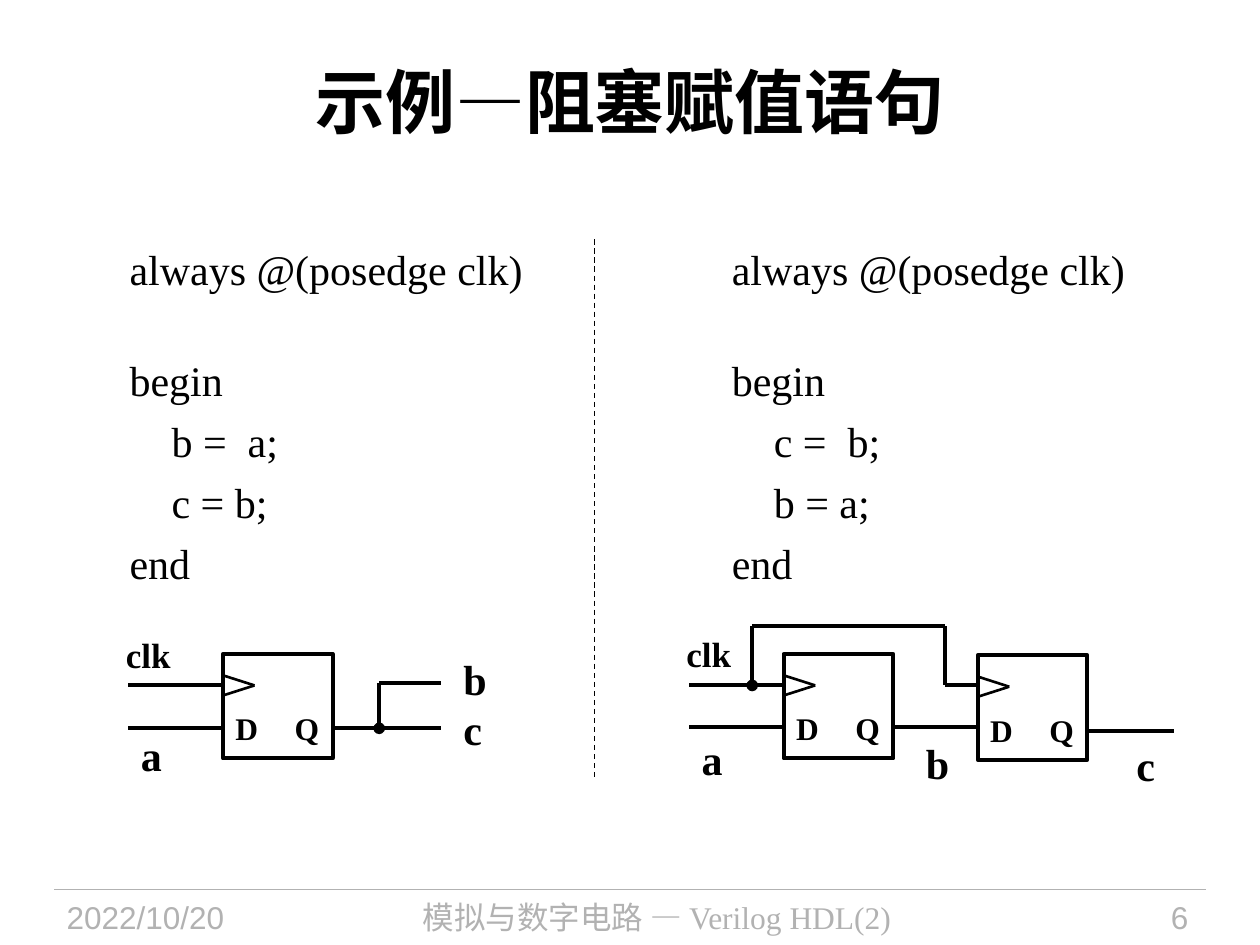
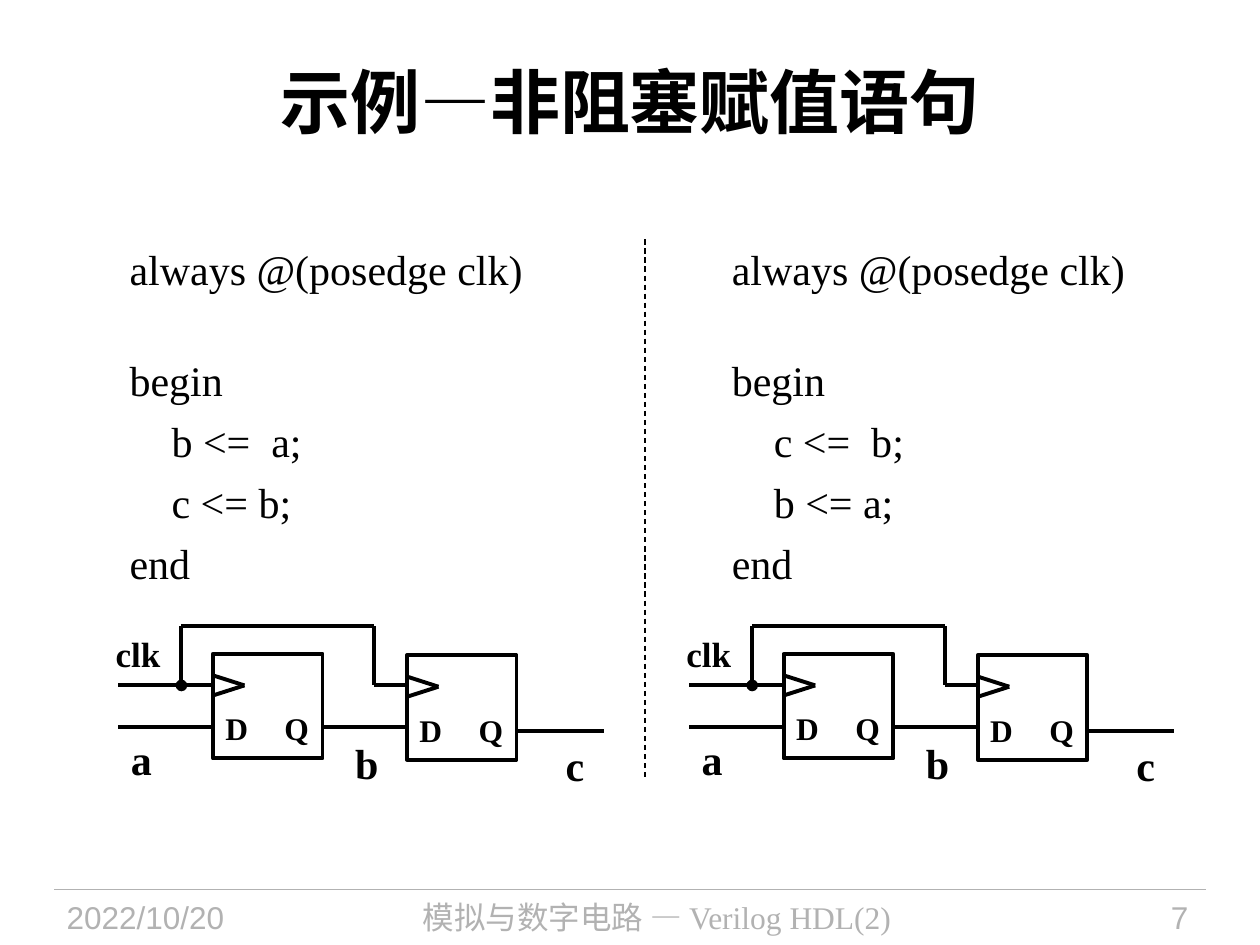
from dataclasses import dataclass

from pptx import Presentation
from pptx.dml.color import RGBColor
from pptx.enum.dml import MSO_LINE_DASH_STYLE as Dash
from pptx.enum.shapes import MSO_CONNECTOR as Connector, MSO_SHAPE as Preset
from pptx.enum.text import MSO_ANCHOR as Anchor, MSO_AUTO_SIZE as AutoSize, PP_ALIGN as Align
from pptx.oxml.xmlchemy import OxmlElement
from pptx.util import Emu, Inches, Pt

SLIDE_WIDTH, SLIDE_HEIGHT = Inches(10), Inches(7.5)
COLUMN, ROW = SLIDE_WIDTH / 10, SLIDE_HEIGHT / 7.5
BLACK, GREY = "000000", "B2B2B2"
SERIF, SANS = "Times New Roman", "Arial"
LEADING = 1.2
CODE_SIZE, CODE_GAP = 24, 6
FOOTER_TOP, MARGIN = 7.06, 0.43
GATE_WIDTH, GATE_HEIGHT = 0.87, 0.83
CIRCUIT_TOP = 4.97


@dataclass(frozen=True)
class Style:
    size: float
    color: str = BLACK
    font: str = SERIF
    bold: bool = False


@dataclass(frozen=True)
class Wire:
    start: tuple[float, float]
    end: tuple[float, float]
    joined: bool = False


@dataclass(frozen=True)
class Label:
    text: str
    left: float
    top: float
    size: float = 24


@dataclass(frozen=True)
class Gate:
    left: float
    top: float


@dataclass(frozen=True)
class Circuit:
    gates: tuple[Gate, ...]
    wires: tuple[Wire, ...]
    labels: tuple[Label, ...]


@dataclass(frozen=True)
class Example:
    code_left: float
    statements: tuple[str, str]
    circuit_left: float
    circuit: Circuit


@dataclass(frozen=True)
class Page:
    title: str
    number: str
    divider: float
    notch_weight: float
    examples: tuple[Example, ...]


CODE = Style(CODE_SIZE)
TITLE = Style(40, bold=True)
DATE = Style(18, GREY, SANS)
COURSE = Style(18, GREY)

ONE_STAGE = Circuit(
    gates=(Gate(0.75, 0.22),),
    wires=(
        Wire((0, 0.47), (0.75, 0.47)),
        Wire((0, 0.81), (0.75, 0.81)),
        Wire((1.62, 0.81), (2.48, 0.81)),
        Wire((1.99, 0.45), (2.48, 0.45)),
        Wire((1.99, 0.45), (1.99, 0.81), joined=True),
    ),
    labels=(
        Label("clk", -0.12, -0.01, 20),
        Label("a", 0, 0.75),
        Label("b", 2.56, 0.15),
        Label("c", 2.56, 0.54),
    ),
)
TWO_STAGE = Circuit(
    gates=(Gate(0.75, 0.22), Gate(2.29, 0.23)),
    wires=(
        Wire((0, 0.47), (0.75, 0.47)),
        Wire((0, 0.8), (0.75, 0.8)),
        Wire((1.62, 0.8), (2.29, 0.8)),
        Wire((3.17, 0.83), (3.85, 0.83)),
        Wire((0.5, 0), (2.03, 0)),
        Wire((2.03, 0), (2.03, 0.47)),
        Wire((2.03, 0.47), (2.29, 0.47)),
        Wire((0.5, 0), (0.5, 0.47), joined=True),
    ),
    labels=(
        Label("clk", -0.12, -0.02, 20),
        Label("a", 0, 0.78),
        Label("b", 1.78, 0.81),
        Label("c", 3.45, 0.83),
    ),
)

PAGES = (
    Page("示例—阻塞赋值语句", "6", 4.72, 1.5, (
        Example(0.93, ("b =  a;", "c = b;"), 1.02, ONE_STAGE),
        Example(5.71, ("c =  b;", "b = a;"), 5.47, TWO_STAGE),
    )),
    Page("示例—非阻塞赋值语句", "7", 5.12, 2.25, (
        Example(0.93, ("b <=  a;", "c <= b;"), 0.94, TWO_STAGE),
        Example(5.71, ("c <=  b;", "b <= a;"), 5.47, TWO_STAGE),
    )),
)


def across(columns: float) -> Emu:
    return Emu(round(columns * COLUMN))


def down(rows: float) -> Emu:
    return Emu(round(rows * ROW))


def paint(color_format, color: str) -> None:
    color_format.rgb = RGBColor.from_string(color)


def add_run(paragraph, text: str, style: Style) -> None:
    run = paragraph.add_run()
    run.text = text
    run.font.name, run.font.size, run.font.bold = style.font, Pt(style.size), style.bold
    paint(run.font.color, style.color)


def add_text(shapes, left: float, top: float, width: float, height: float,
             lines: tuple[str, ...], style: Style, align=Align.LEFT):
    """Add a text box with one paragraph per line and return its paragraphs."""
    box = shapes.add_textbox(across(left), down(top), across(width), down(height))
    frame = box.text_frame
    frame.word_wrap, frame.auto_size = True, AutoSize.NONE
    frame.margin_top = down(0.07)
    for index, line in enumerate(lines):
        paragraph = frame.add_paragraph() if index else frame.paragraphs[0]
        paragraph.alignment = align
        paragraph.line_spacing = Pt(style.size * LEADING)
        add_run(paragraph, line, style)
    return frame.paragraphs


def add_line(shapes, start: tuple[float, float], end: tuple[float, float],
             weight: float = 2.25, color: str = BLACK):
    line = shapes.add_connector(Connector.STRAIGHT, across(start[0]), down(start[1]),
                                across(end[0]), down(end[1]))
    line.line.width = Pt(weight)
    paint(line.line.color, color)
    line._element.spPr.append(OxmlElement("a:effectLst"))
    return line


def add_dot(line) -> None:
    dot = OxmlElement("a:tailEnd")
    dot.set("type", "oval")
    line.line._get_or_add_ln().append(dot)


def add_label(shapes, label: Label, left: float, top: float) -> None:
    width = 0.33 + 0.17 * (len(label.text) - 1)
    add_text(shapes, left + label.left, top + label.top, width, label.size * LEADING / 72 + 0.1,
             (label.text,), Style(label.size, bold=True))


def add_gate(shapes, left: float, top: float, notch_weight: float) -> None:
    box = shapes.add_shape(Preset.RECTANGLE, across(left), down(top),
                           across(GATE_WIDTH), down(GATE_HEIGHT))
    box.shadow.inherit = False
    box.fill.background()
    box.line.width = Pt(2.25)
    paint(box.line.color, BLACK)
    tip = (left + 0.25, top + 0.25)
    for offset in (0.17, 0.33):
        add_line(shapes, (left, top + offset), tip, notch_weight)
    for label in (Label("D", 0, 0.37, 18), Label("Q", 0.47, 0.37, 18)):
        add_label(shapes, label, left, top)


def add_circuit(slide, circuit: Circuit, left: float, notch_weight: float) -> None:
    shapes = slide.shapes.add_group_shape().shapes
    for gate in circuit.gates:
        add_gate(shapes, left + gate.left, CIRCUIT_TOP + gate.top, notch_weight)
    for wire in circuit.wires:
        start, end = ((left + x, CIRCUIT_TOP + y) for x, y in (wire.start, wire.end))
        line = add_line(shapes, start, end)
        if wire.joined:
            add_dot(line)
    for label in circuit.labels:
        add_label(shapes, label, left, CIRCUIT_TOP)


def add_code(slide, left: float, statements: tuple[str, str]) -> None:
    lines = ("always @(posedge clk)", "begin", *statements, "end")
    paragraphs = add_text(slide.shapes, left, 1.86, 3.4, 2.46, lines, CODE)
    for paragraph in paragraphs:
        paragraph.space_after = Pt(CODE_GAP)
    paragraphs[0].space_after = Pt(CODE_GAP + CODE_SIZE * LEADING)
    for paragraph in paragraphs[2:4]:
        paragraph._p.get_or_add_pPr().set("marL", str(Pt(CODE_SIZE)))


def add_title(slide, text: str) -> None:
    title = slide.shapes.title
    title.left, title.top, title.width, title.height = across(0.5), down(0.17), across(9), down(1.25)
    title.text_frame.vertical_anchor = Anchor.MIDDLE
    paragraph = title.text_frame.paragraphs[0]
    paragraph.alignment = Align.CENTER
    add_run(paragraph, text, TITLE)


def add_footer(slide, number: str) -> None:
    add_line(slide.shapes, (MARGIN, FOOTER_TOP), (10 - MARGIN, FOOTER_TOP), 0.75, GREY)
    for left, width, text, style, align in (
        (MARGIN, 1.88, "2022/10/20", DATE, Align.LEFT),
        (2.4, 5.63, "模拟与数字电路 — Verilog HDL(2)", COURSE, Align.CENTER),
        (8.2, 1.33, number, DATE, Align.RIGHT),
    ):
        add_text(slide.shapes, left, FOOTER_TOP, width, 0.44, (text,), style, align)


def add_page(presentation, page: Page) -> None:
    slide = presentation.slides.add_slide(presentation.slide_layouts[5])
    add_title(slide, page.title)
    for example in page.examples:
        add_code(slide, example.code_left, example.statements)
        add_circuit(slide, example.circuit, example.circuit_left, page.notch_weight)
    divider = add_line(slide.shapes, (page.divider, 1.9), (page.divider, 6.19), 0.75)
    divider.line.dash_style = Dash.DASH
    add_footer(slide, page.number)


def main() -> None:
    presentation = Presentation()
    presentation.slide_width, presentation.slide_height = SLIDE_WIDTH, SLIDE_HEIGHT
    for page in PAGES:
        add_page(presentation, page)
    presentation.save("out.pptx")


if __name__ == "__main__":
    main()
